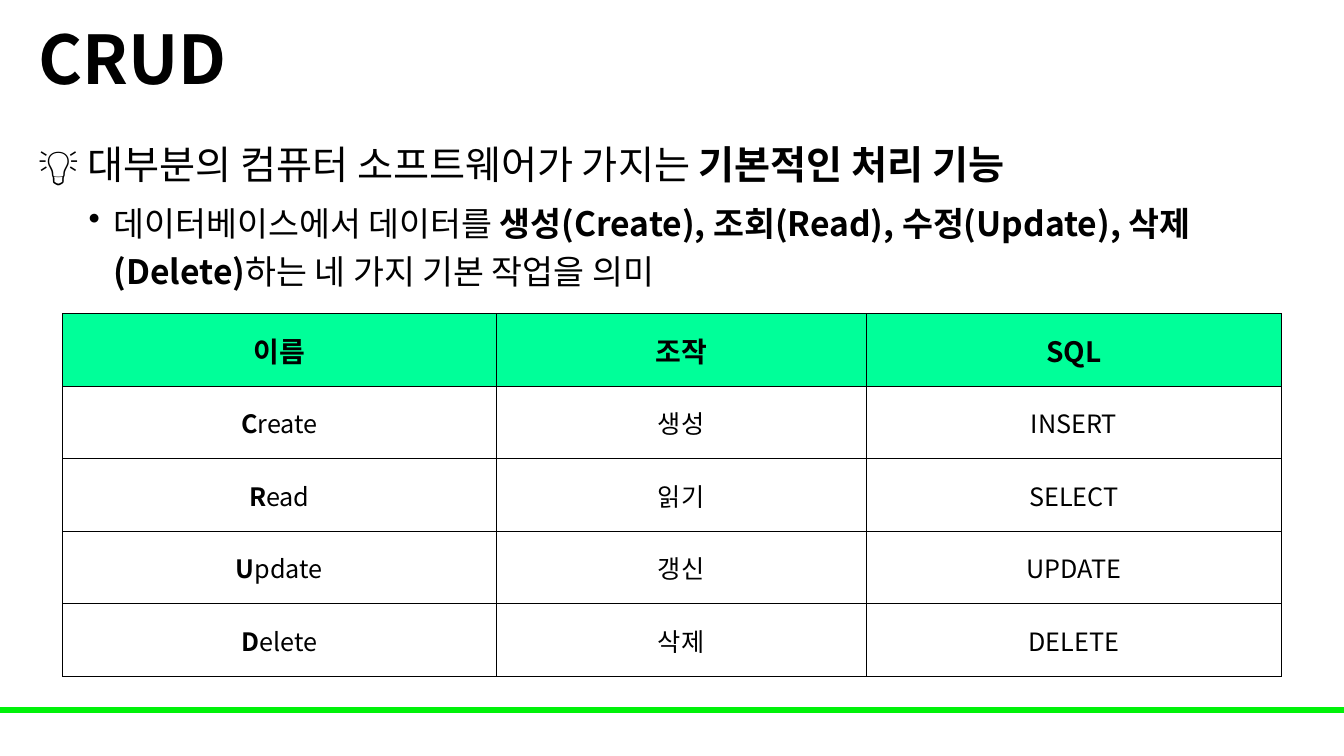
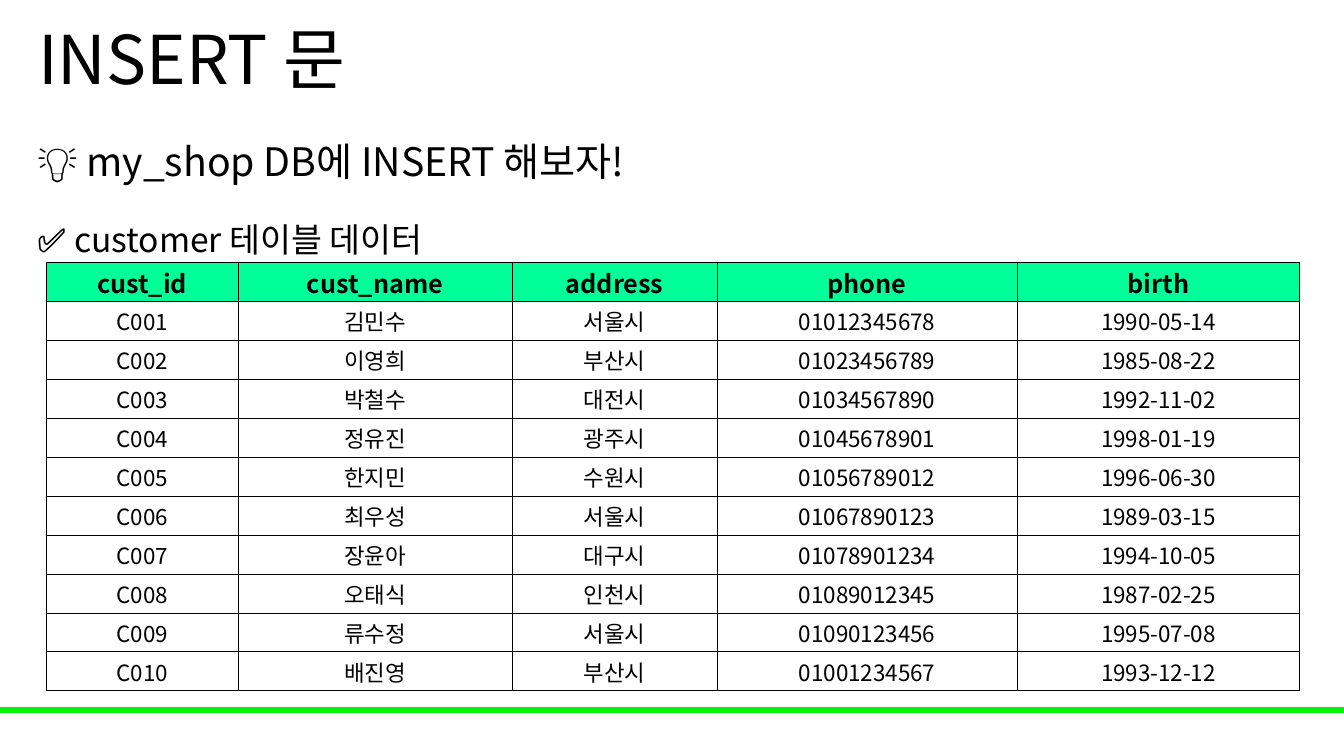
"""Builds two slides on CRUD and the SQL INSERT statement."""
import lxml.etree
import pptx
import pptx.dml.color
import pptx.enum.shapes
import pptx.enum.text
import pptx.oxml.ns
import pptx.util

Inches = pptx.util.Inches
Pt = pptx.util.Pt
qn = pptx.oxml.ns.qn
FONT = "Noto Sans CJK KR"
COLORS = {"text": "000000", "paper": "FFFFFF", "band": "00F209", "header": "00FF99"}
RGB = {name: pptx.dml.color.RGBColor.from_string(value) for name, value in COLORS.items()}
MIDDLE = pptx.enum.text.MSO_ANCHOR.MIDDLE


def write_spans(para, spans, size):
    for text, bold in spans:
        span = para.add_run()
        span.text = text
        span.font.name = FONT
        span.font.size = Pt(size)
        span.font.bold = bold
        span.font.color.rgb = RGB["text"]
        lxml.etree.SubElement(span.font._element, qn("a:ea"), typeface=FONT)


def add_grid(page, left, top, widths, row_height, rows, header_size, body_size):
    frame = page.shapes.add_table(
        len(rows), len(widths), Inches(left), Inches(top),
        Inches(sum(widths)), Inches(row_height * len(rows)))
    grid = frame.table
    grid.first_row = False
    grid.horz_banding = False
    for column, width in zip(grid.columns, widths):
        column.width = Inches(width)
    for row_index, row in enumerate(rows):
        grid.rows[row_index].height = Inches(row_height)
        is_header = row_index == 0
        for column_index, spans in enumerate(row):
            cell = grid.cell(row_index, column_index)
            cell.margin_left = cell.margin_right = cell.margin_top = Inches(0.01)
            cell.margin_bottom = 0
            cell.vertical_anchor = MIDDLE
            properties = cell._tc.get_or_add_tcPr()
            for side in ("a:lnL", "a:lnR", "a:lnT", "a:lnB"):
                border = lxml.etree.SubElement(properties, qn(side), w=str(Pt(0.5)))
                paint = lxml.etree.SubElement(border, qn("a:solidFill"))
                lxml.etree.SubElement(paint, qn("a:srgbClr"), val=COLORS["text"])
            cell.fill.solid()
            cell.fill.fore_color.rgb = RGB["header" if is_header else "paper"]
            para = cell.text_frame.paragraphs[0]
            para.alignment = pptx.enum.text.PP_ALIGN.CENTER
            write_spans(para, spans, header_size if is_header else body_size)


deck = pptx.Presentation()
deck.slide_width = Inches(13.33)
deck.slide_height = Inches(7.5)

operations = [
    ("Create", "생성", "INSERT"),
    ("Read", "읽기", "SELECT"),
    ("Update", "갱신", "UPDATE"),
    ("Delete", "삭제", "DELETE"),
]
crud_rows = [[[(label, True)] for label in ("이름", "조작", "SQL")]]
for name, action, command in operations:
    crud_rows.append([[(name[0], True), (name[1:], False)], [(action, False)], [(command, False)]])

customers = [
    ("김민수", "서울시", "01012345678", "1990-05-14"),
    ("이영희", "부산시", "01023456789", "1985-08-22"),
    ("박철수", "대전시", "01034567890", "1992-11-02"),
    ("정유진", "광주시", "01045678901", "1998-01-19"),
    ("한지민", "수원시", "01056789012", "1996-06-30"),
    ("최우성", "서울시", "01067890123", "1989-03-15"),
    ("장윤아", "대구시", "01078901234", "1994-10-05"),
    ("오태식", "인천시", "01089012345", "1987-02-25"),
    ("류수정", "서울시", "01090123456", "1995-07-08"),
    ("배진영", "부산시", "01001234567", "1993-12-12"),
]
customer_rows = [[[(label, True)] for label in ("cust_id", "cust_name", "address", "phone", "birth")]]
for number, customer in enumerate(customers, 1):
    customer_rows.append([[(value, False)] for value in (f"C{number:03}", *customer)])

pages = [
    {
        "title": ("CRUD", True),
        "body_at": (0.28, 1.25, 12.8, 2.26),
        "line_spacing": 1.2,
        "body": [
            (28, 0, False, [("💡 대부분의 컴퓨터 소프트웨어가 가지는 ", False),
                            ("기본적인 처리 기능", True)]),
            (24, 5, True, [("데이터베이스에서 데이터를 ", False),
                           ("생성(Create), 조회(Read), 수정(Update), 삭제(Delete)", True),
                           ("하는 네 가지 기본 작업을 의미", False)]),
        ],
        "grid": (0.62, 3.11, (4.3, 3.67, 4.12), 0.72, crud_rows, 20, 18),
    },
    {
        "title": ("INSERT 문", False),
        "body_at": (0.27, 1.08, 12.8, 1.53),
        "line_spacing": 1.5,
        "body": [
            (28, 0, False, [("💡 my_shop DB에 INSERT 해보자!", False)]),
            (24, 10, False, [("✅ customer 테이블 데이터", False)]),
        ],
        "grid": (0.46, 2.6, (1.9, 2.72, 2.03, 2.98, 2.8), 0.387, customer_rows, 18, 16),
    },
]

for content in pages:
    page = deck.slides.add_slide(deck.slide_layouts[6])
    page.background.fill.solid()
    page.background.fill.fore_color.rgb = RGB["paper"]

    band = page.shapes.add_shape(
        pptx.enum.shapes.MSO_SHAPE.RECTANGLE, 0, Inches(7.02), deck.slide_width, Inches(0.05))
    band.shadow.inherit = False
    band.fill.solid()
    band.fill.fore_color.rgb = RGB["band"]
    band.line.color.rgb = RGB["band"]
    band.line.width = Pt(1)

    title_box = page.shapes.add_textbox(Inches(0.28), 0, Inches(11.5), Inches(1.25))
    title_box.text_frame.word_wrap = True
    title_box.text_frame.vertical_anchor = MIDDLE
    title_para = title_box.text_frame.paragraphs[0]
    title_para.line_spacing = 0.9
    write_spans(title_para, [content["title"]], 48)

    body_box = page.shapes.add_textbox(*map(Inches, content["body_at"]))
    body_box.text_frame.word_wrap = True
    for index, (size, space_before, bulleted, spans) in enumerate(content["body"]):
        para = body_box.text_frame.paragraphs[0] if index == 0 else body_box.text_frame.add_paragraph()
        para.line_spacing = content["line_spacing"]
        if space_before:
            para.space_before = Pt(space_before)
        if bulleted:
            para.level = 1
            properties = para._p.get_or_add_pPr()
            properties.set("marL", str(Inches(0.75)))
            properties.set("indent", str(Inches(-0.25)))
            lxml.etree.SubElement(properties, qn("a:buChar"), char="•")
        write_spans(para, spans, size)

    add_grid(page, *content["grid"])

deck.save("out.pptx")
